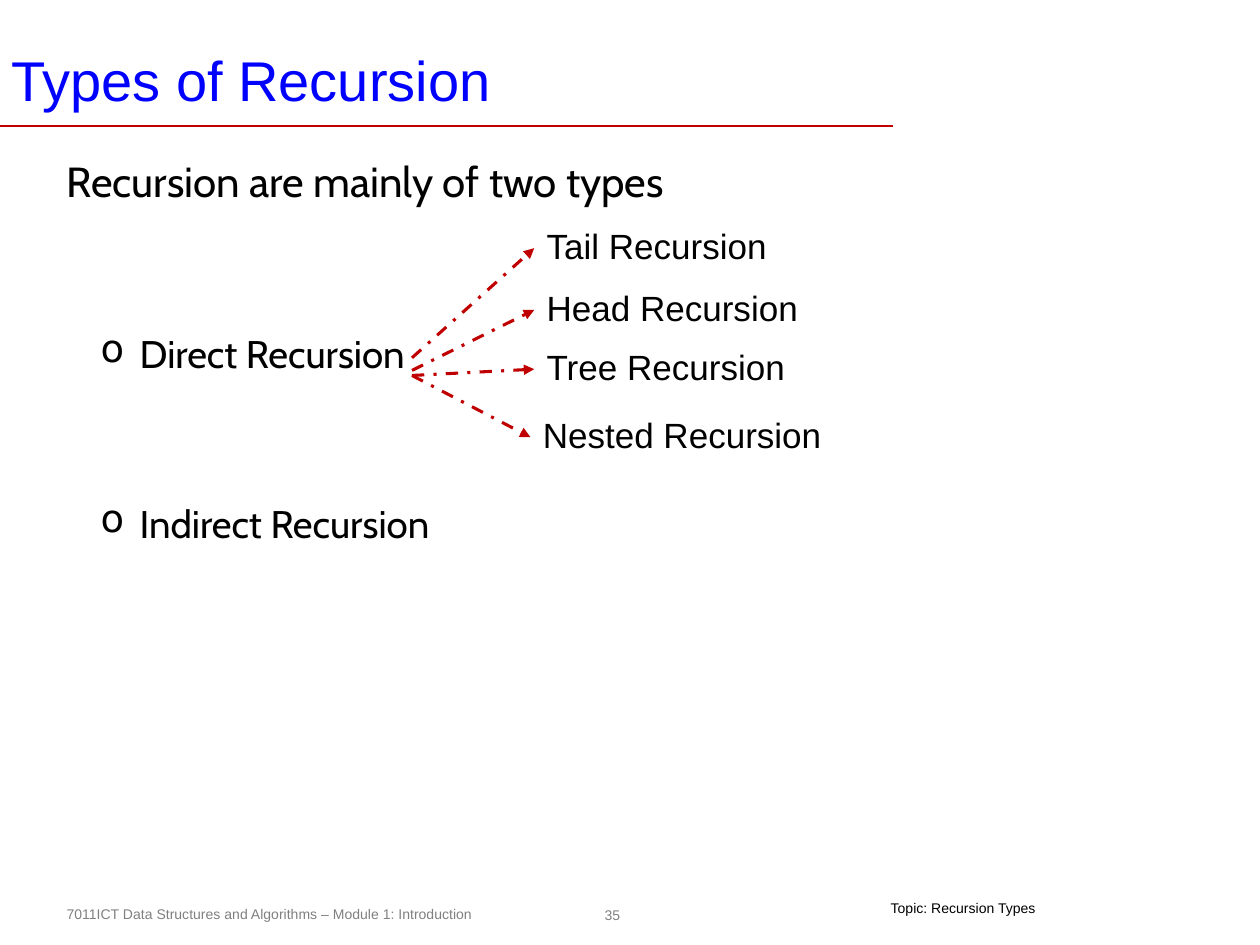
import pptx
import pptx.util
import pptx.dml.color
import pptx.enum.dml
import pptx.enum.shapes
import pptx.enum.text
import pptx.oxml.ns
import lxml.etree

Inches = pptx.util.Inches
Pt = pptx.util.Pt
ALIGN = pptx.enum.text.PP_ALIGN
ANCHOR = pptx.enum.text.MSO_ANCHOR
RED, BLUE, GREY, BLACK = "C00000", "0000FF", "808080", "000000"


def color(code):
    """Turn a hex string into a colour."""
    return pptx.dml.color.RGBColor.from_string(code)


def add_sub(parent, tag, **attrs):
    """Append a DrawingML element."""
    return lxml.etree.SubElement(parent, pptx.oxml.ns.qn(tag), attrs)


def add_run(para, text, size, code=BLACK, font="Arial"):
    """Add one formatted run."""
    run = para.add_run()
    run.text = text
    run.font.size = Pt(size)
    run.font.name = font
    run.font.color.rgb = color(code)


def set_frame(frame, pads, wrap=True, anchor=ANCHOR.TOP):
    """Set the margins, wrapping and anchor of a text frame."""
    left, top, right, low = (Inches(pad) for pad in pads)
    frame.margin_left, frame.margin_top = left, top
    frame.margin_right, frame.margin_bottom = right, low
    frame.word_wrap = wrap
    frame.vertical_anchor = anchor


def add_text(slide, box, pads, wrap=True, anchor=ANCHOR.TOP):
    """Add a text box and return its frame."""
    frame = slide.shapes.add_textbox(*(Inches(v) for v in box)).text_frame
    set_frame(frame, pads, wrap, anchor)
    return frame


def add_line(slide, start, end, width):
    """Draw a plain red line and return it."""
    kind = pptx.enum.shapes.MSO_CONNECTOR.STRAIGHT
    line = slide.shapes.add_connector(kind, *(Inches(v) for v in start + end))
    line.line.color.rgb = color(RED)
    line.line.width = Pt(width)
    add_sub(line._element.spPr, "a:effectLst")
    return line


def add_arrow(slide, start, end):
    """Draw a dashed arrow."""
    line = add_line(slide, start, end, 1.75).line
    line.dash_style = pptx.enum.dml.MSO_LINE.DASH_DOT
    add_sub(line._get_or_add_ln(), "a:tailEnd", type="triangle")


def add_title(slide, box):
    """Place the title and the rule below it."""
    left, top, width, height = box
    frame = add_text(slide, box, (0.07, 0.03, 0.07, 0.03), anchor=ANCHOR.MIDDLE)
    add_run(frame.paragraphs[0], "Types of Recursion", 32, BLUE)
    rule = top + height + 0.04
    add_line(slide, (0, rule), (7.09, rule), 1)


def add_body(slide, box):
    """Place the lead sentence and its two bullets."""
    frame = add_text(slide, box, (0.1, 0.05, 0.1, 0.05))
    lead = frame.paragraphs[0]
    lead.line_spacing = 0.9
    add_run(lead, "Recursion are mainly of two types", 24, font="Cabin")
    for text in ("Direct Recursion", "Indirect Recursion"):
        para = frame.add_paragraph()
        para.level = 1
        para.line_spacing = 0.9
        para.space_before = Pt(73.4)
        props = para._p.get_or_add_pPr()
        props.set("marL", str(Inches(0.58)))
        props.set("indent", str(Inches(-0.31)))
        add_sub(props, "a:buChar", char="o")
        add_run(para, text, 22, font="Cabin")


def add_kinds(slide, box):
    """Place the kinds of direct recursion with an arrow to each."""
    left, top, width, height = box
    kinds = (
        ("Tail Recursion", 0.97, 0, 0, 1.06),
        ("Head Recursion", 0.97, 0.49, 0, 1.16),
        ("Tree Recursion", 0.97, 0.96, 0, 1.2),
        ("Nested Recursion", 0.94, 1.5, 0.27, 1.2),
    )
    for text, shift, drop, extra, start in kinds:
        edge, high = left + shift, top + drop
        place = (edge, high, width - 0.97 + extra, height)
        frame = add_text(slide, place, (0.1, 0, 0.1, 0.04))
        add_run(frame.paragraphs[0], text, 20)
        add_arrow(slide, (left, top + start), (edge, high + height / 2))


def add_footer(slide, box):
    """Place the course name, page number and topic."""
    left, top, width, height = box
    frame = add_text(slide, (left, top, 4.17, height), (0.1, 0.05, 0.1, 0.05))
    course = "7011ICT Data Structures and Algorithms – Module 1: Introduction"
    add_run(frame.paragraphs[0], course, 8, GREY)

    spot = (left + 4.31, top - 0.01, 0.24, 0.26)
    oval = pptx.enum.shapes.MSO_SHAPE.OVAL
    page = slide.shapes.add_shape(oval, *(Inches(v) for v in spot))
    page.shadow.inherit = False
    page.fill.background()
    page.line.fill.background()
    set_frame(page.text_frame, (0.04,) * 4, False, ANCHOR.MIDDLE)
    para = page.text_frame.paragraphs[0]
    para.alignment = ALIGN.CENTER
    add_run(para, "35", 8, GREY)

    spot = (left + width - 1.39, top, 1.39, 0.17)
    frame = add_text(slide, spot, (0.1, 0, 0.1, 0.04), wrap=False)
    add_run(frame.paragraphs[0], "Topic: Recursion Types", 8)


def main():
    """Build and save the slide."""
    deck = pptx.Presentation()
    deck.slide_width, deck.slide_height = Inches(10), Inches(7.5)
    slide = deck.slides.add_slide(deck.slide_layouts[6])
    add_footer(slide, (0.43, 7.14, 7.93, 0.24))
    add_title(slide, (0.02, 0.29, 9, 0.67))
    add_body(slide, (0.43, 1.23, 9.15, 5.74))
    add_kinds(slide, (3.27, 1.78, 3.3, 0.38))
    deck.save("out.pptx")


if __name__ == "__main__":
    main()
